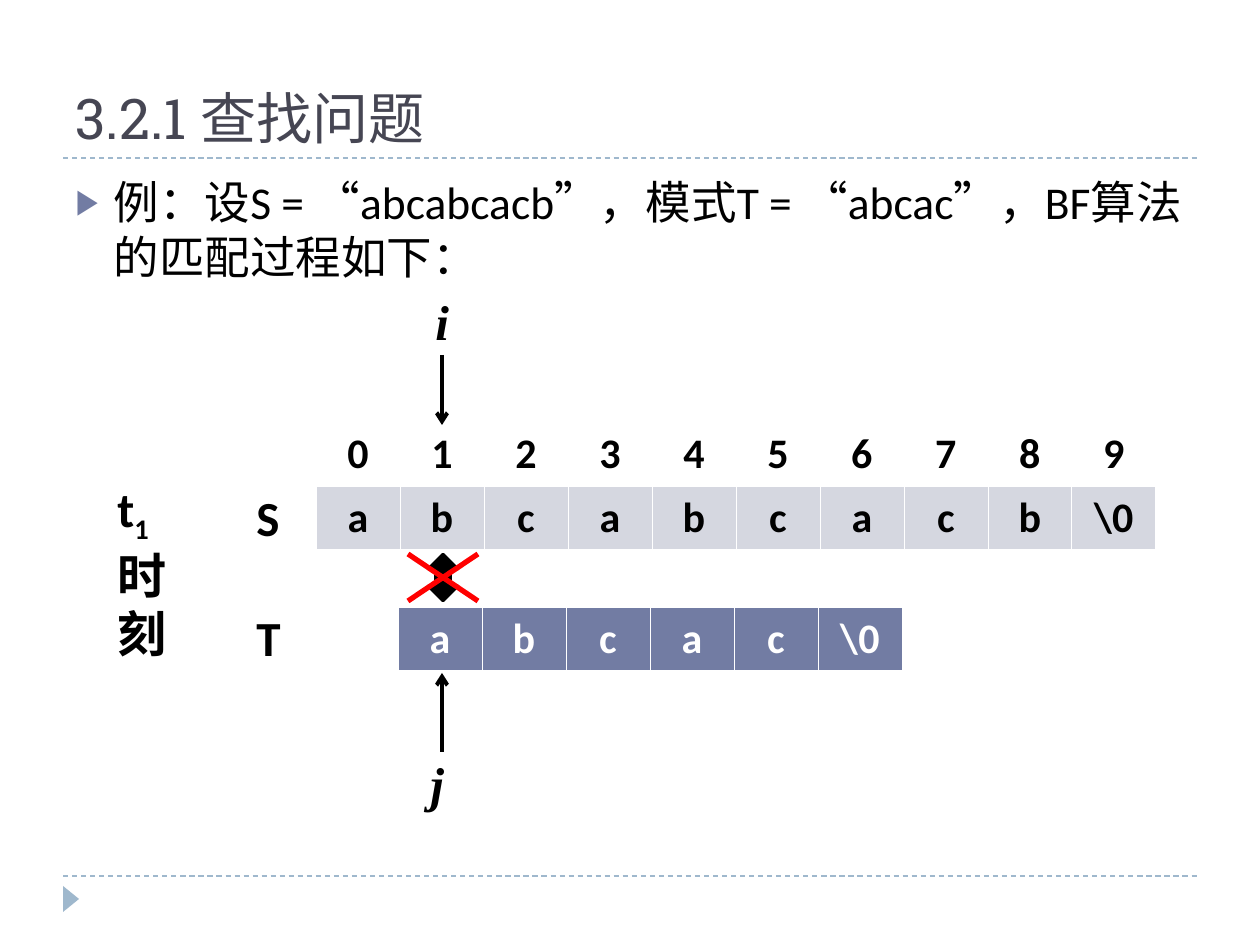
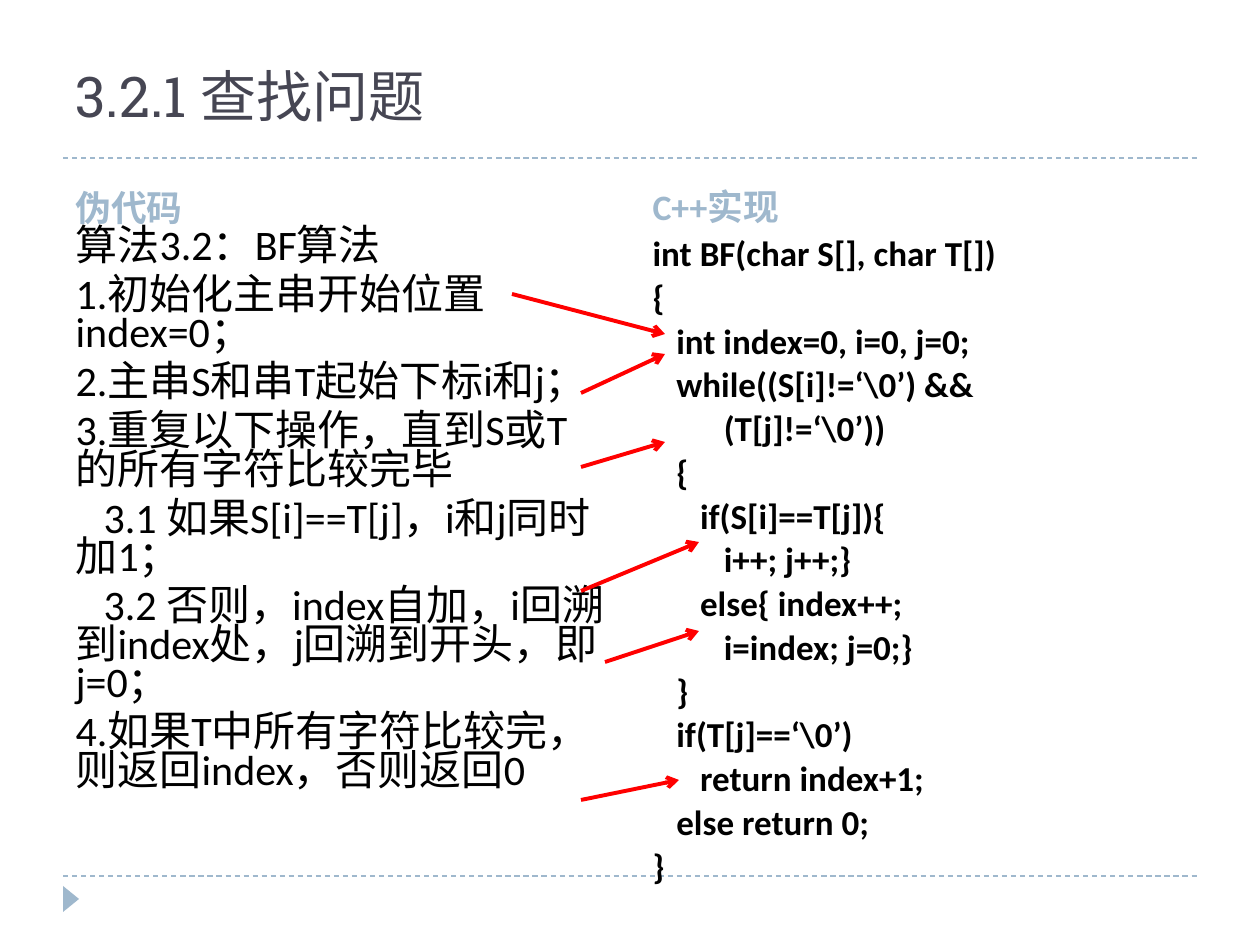
from lxml.etree import SubElement
from pptx import Presentation
from pptx.dml.color import RGBColor
from pptx.enum.dml import MSO_LINE
from pptx.enum.shapes import MSO_CONNECTOR, MSO_SHAPE
from pptx.enum.text import MSO_ANCHOR, MSO_AUTO_SIZE, PP_ALIGN
from pptx.oxml.ns import qn
from pptx.util import Pt

COLORS = {"title": "464653", "accent": "727CA3", "soft": "9FB8CD", "cell": "D5D7E0",
          "text": "000000", "white": "FFFFFF", "red": "FF0000"}
SANS, SLAB, SERIF = "Calibri", "Roboto Slab", "Times New Roman"
PX = 914400 / 126
PAGE_WIDTH, PAGE_HEIGHT = 1260, 945
LEFT, RIGHT = 63, 1197
RULES = (158, 876)

TITLE = "3.2.1 查找问题"
EXAMPLE = "例：设S = “abcabcacb”，模式T = “abcac”，BF算法的匹配过程如下："
MAIN_STRING = ["a", "b", "c", "a", "b", "c", "a", "c", "b", "\\0"]
PATTERN = ["a", "b", "c", "a", "c", "\\0"]
CELL_WIDTH, CELL_HEIGHT = 84, 63
LABELS = [
    (["S"], (244, 481, 48, 72), SANS),
    (["T"], (244, 601, 49, 72), SANS),
    (["t", "时", "刻"], (105, 472, 74, 198), SANS),
    (["j"], (418, 747, 39, 72), SERIF),
    (["i"], (423, 285, 39, 72), SERIF),
]
MISMATCH = (408, 554, 478, 601)
POINTER_X = 442
POINTERS = [(752, 673), (355, 425)]

HEADINGS = [("伪代码", (63, 178, 557, 57)), ("C++实现", (640, 179, 557, 55))]
STEPS = [
    (0, "算法3.2：BF算法"),
    (0, "1.初始化主串开始位置index=0；"),
    (0, "2.主串S和串T起始下标i和j；"),
    (0, "3.重复以下操作，直到S或T的所有字符比较完毕"),
    (28, "3.1 如果S[i]==T[j]，i和j同时加1；"),
    (28, "3.2 否则，index自加，i回溯到index处，j回溯到开头，即j=0；"),
    (0, "4.如果T中所有字符比较完，则返回index，否则返回0"),
]
CODE = r"""int BF(char S[], char T[])
{
   int index=0, i=0, j=0;
   while((S[i]!=‘\0’) &&
         (T[j]!=‘\0’))
   {
      if(S[i]==T[j]){
         i++; j++;}
      else{ index++;
         i=index; j=0;}
   }
   if(T[j]==‘\0’)
      return index+1;
   else return 0;
}""".split("\n")
STEP_ARROWS = [
    (512, 294, 665, 334), (581, 393, 665, 354), (581, 467, 665, 442),
    (581, 591, 699, 542), (605, 662, 699, 631), (581, 800, 679, 780),
]


def px(length):
    return round(length * PX)


def rgb(name):
    return RGBColor.from_string(COLORS[name])


def place(shape, area):
    shape.left, shape.top, shape.width, shape.height = map(px, area)


def style(para, size, color="text", face=SANS, bold=False, italic=False, align=PP_ALIGN.LEFT):
    para.alignment = align
    font = para.font
    font.size, font.name, font.bold, font.italic = Pt(size), face, bold, italic
    font.color.rgb = rgb(color)


def set_indent(para, margin, first, bullet=None):
    props = para._p.get_or_add_pPr()
    props.set("marL", str(px(margin)))
    props.set("indent", str(px(first)))
    if bullet:
        SubElement(SubElement(props, qn("a:buClr")), qn("a:srgbClr"), val=COLORS["accent"])
        SubElement(props, qn("a:buSzPct"), val="76000")
        SubElement(props, qn("a:buChar"), char=bullet)
    else:
        SubElement(props, qn("a:buNone"))


def fill_placeholder(holder, area, lines, size, anchor=MSO_ANCHOR.TOP, margin=0,
                     bullet=None, spacing=None, **look):
    place(holder, area)
    frame = holder.text_frame
    frame.auto_size, frame.word_wrap = MSO_AUTO_SIZE.NONE, True
    frame.vertical_anchor = anchor
    for number, (first, text) in enumerate(lines):
        para = frame.add_paragraph() if number else frame.paragraphs[0]
        para.add_run().text = text
        para.space_before = Pt(6 if number else 0)
        if spacing:
            para.line_spacing = Pt(spacing)
        set_indent(para, margin, first, bullet)
        style(para, size, **look)


def add_title(page, area, anchor):
    fill_placeholder(page.shapes.title, area, [(0, TITLE)], 32, anchor, color="title", face=SLAB)


def add_line(page, ends, color, width, arrow=False):
    line = page.shapes.add_connector(MSO_CONNECTOR.STRAIGHT, *map(px, ends))
    line.line.color.rgb, line.line.width = rgb(color), Pt(width)
    if arrow:
        SubElement(line.line._get_or_add_ln(), qn("a:tailEnd"), type="arrow")
    SubElement(line.element.spPr, qn("a:effectLst"))
    return line


def add_solid(page, kind, area, color):
    shape = page.shapes.add_shape(kind, *map(px, area))
    shape.shadow.inherit = False
    shape.fill.solid()
    shape.fill.fore_color.rgb = rgb(color)
    shape.line.fill.background()
    return shape


def add_label(page, lines, area, face):
    box = page.shapes.add_textbox(*map(px, area))
    frame = box.text_frame
    frame.word_wrap, frame.auto_size = False, MSO_AUTO_SIZE.SHAPE_TO_FIT_TEXT
    for number, text in enumerate(lines):
        para = frame.add_paragraph() if number else frame.paragraphs[0]
        para.add_run().text = text
        style(para, 28, face=face, bold=True, italic=face == SERIF)
    return frame


def add_cells(page, left, top, rows):
    columns = len(rows[0][0])
    area = left, top, columns * CELL_WIDTH, len(rows) * CELL_HEIGHT
    table = page.shapes.add_table(len(rows), columns, *map(px, area)).table
    table.first_row = table.horz_banding = False
    for row, (values, fill, color) in enumerate(rows):
        widths = {"L": 0.45, "R": 0.45, "T": 1.47 if row else 0.45, "B": 0.45 if row else 1.47}
        for column, value in enumerate(values):
            cell = table.cell(row, column)
            for side, width in widths.items():
                border = SubElement(cell._tc.get_or_add_tcPr(), qn(f"a:ln{side}"), w=str(Pt(width)))
                SubElement(SubElement(border, qn("a:solidFill")), qn("a:srgbClr"), val=COLORS["white"])
            cell.fill.solid()
            cell.fill.fore_color.rgb = rgb(fill)
            cell.vertical_anchor = MSO_ANCHOR.MIDDLE
            cell.text = value
            style(cell.text_frame.paragraphs[0], 24, color, bold=True, align=PP_ALIGN.CENTER)


def decorate_master(deck, page):
    parts = [add_line(page, (LEFT, y, RIGHT, y), "soft", 0.75) for y in RULES]
    for rule in parts:
        rule.line.dash_style = MSO_LINE.DASH
    marker = add_solid(page, MSO_SHAPE.ISOSCELES_TRIANGLE, (58, 891, 26, 16), "soft")
    marker.rotation = 90
    for part in parts + [marker]:
        deck.slide_master.shapes.element.append(part.element)


def build_matching(page):
    add_title(page, (LEFT, 21, 1134, 136), MSO_ANCHOR.BOTTOM)
    fill_placeholder(page.placeholders[1], (LEFT, 168, 1134, 680), [(-38, EXAMPLE)], 26,
                     margin=38, bullet="▶")
    indexes = [str(number) for number in range(len(MAIN_STRING))]
    add_cells(page, 316, 422, [(indexes, "white", "text"), (MAIN_STRING, "cell", "text")])
    add_cells(page, 398, 607, [(PATTERN, "accent", "white")])
    for lines, area, face in LABELS:
        frame = add_label(page, lines, area, face)
        if lines[0] == "t":
            span = frame.paragraphs[0].add_run()
            span.text = "1"
            span._r.get_or_add_rPr().set("baseline", "-25000")
    compare = add_solid(page, MSO_SHAPE.UP_DOWN_ARROW, (428, 554, 30, 47), "text")
    compare.line.color.rgb, compare.line.width = rgb("text"), Pt(1.5)
    left, top, right, bottom = MISMATCH
    for start, end in ((left, right), (right, left)):
        add_line(page, (start, top, end, bottom), "red", 3)
    for start, end in POINTERS:
        add_line(page, (POINTER_X, start, POINTER_X, end), "text", 2.25, arrow=True)


def build_code(page):
    add_title(page, (LEFT, 32, 1134, 126), MSO_ANCHOR.MIDDLE)
    holders = page.placeholders
    for index, (text, area) in zip((1, 3), HEADINGS):
        fill_placeholder(holders[index], area, [(0, text)], 20.4, MSO_ANCHOR.BOTTOM,
                         color="soft", bold=True)
    fill_placeholder(holders[2], (63, 224, 557, 626), STEPS, 24, spacing=22)
    fill_placeholder(holders[4], (640, 234, 557, 616), [(0, line) for line in CODE], 20,
                     spacing=19, bold=True)
    for ends in STEP_ARROWS:
        add_line(page, ends, "red", 2.25, arrow=True)


def main():
    """Build the two slides on brute-force string matching."""
    deck = Presentation()
    deck.slide_width, deck.slide_height = px(PAGE_WIDTH), px(PAGE_HEIGHT)
    matching = deck.slides.add_slide(deck.slide_layouts[1])
    decorate_master(deck, matching)
    build_matching(matching)
    build_code(deck.slides.add_slide(deck.slide_layouts[4]))
    deck.save("out.pptx")


if __name__ == "__main__":
    main()
